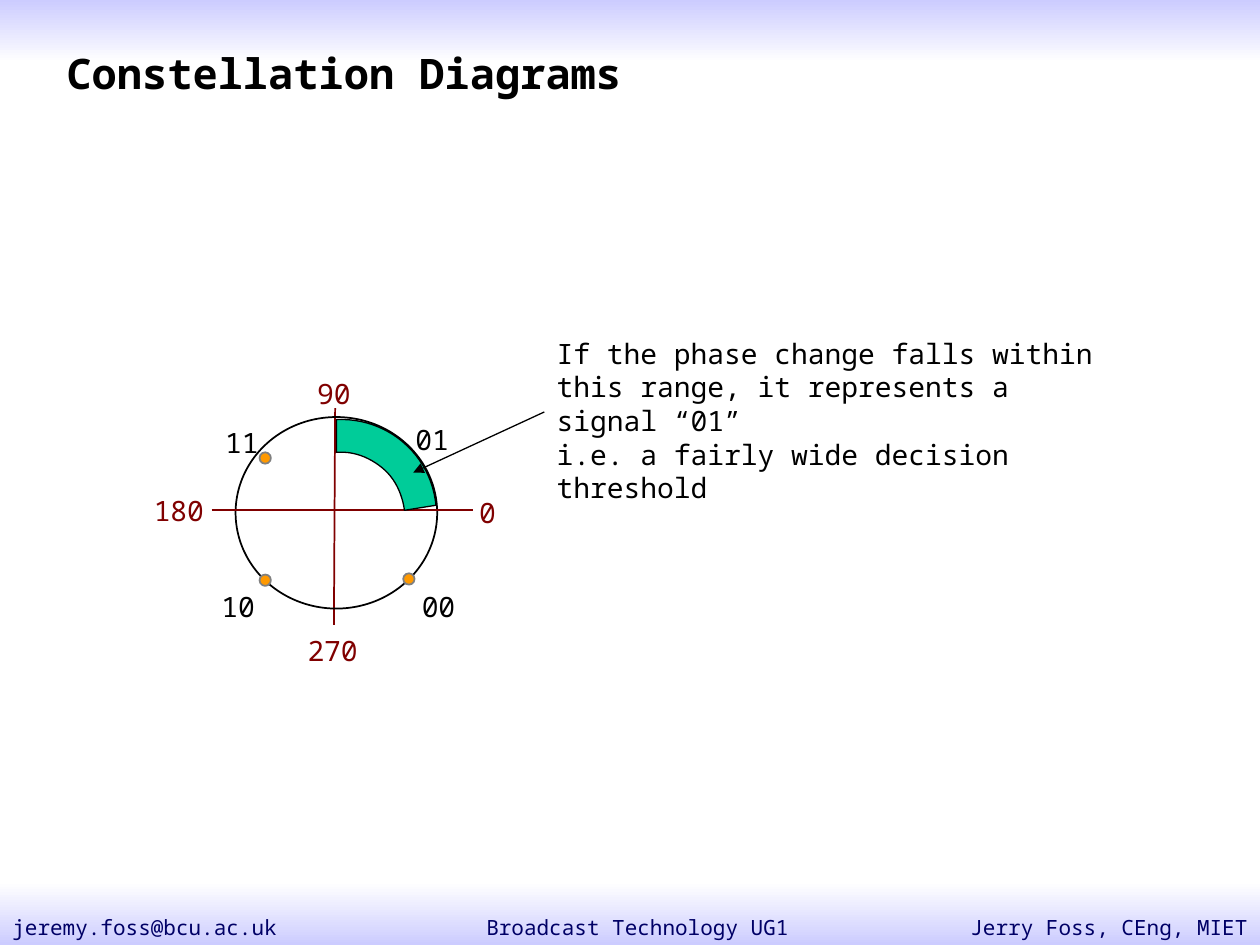
from lxml import etree
from pptx import Presentation, util as u
from pptx.dml.color import RGBColor
from pptx.enum import shapes, text
from pptx.oxml import ns

CELL = u.Inches(0.1)
COLUMNS, ROWS = 100, 75
FONT = "Noto Sans Mono"
COLORS = {
    "ink": "000000", "white": "FFFFFF", "band": "CCCCFF", "footer": "000066",
    "axis": "800000", "dot": "FF9900", "dot_edge": "808080", "sector": "00CC99",
}


def cells(*values):
    """Convert grid cells to slide lengths."""
    return [round(value * CELL) for value in values]


def color(name):
    """Look up a named colour."""
    return RGBColor.from_string(COLORS[name])


def style_shape(shape, fill, line, width):
    """Give a shape its flat fill and outline without a shadow."""
    shape.shadow.inherit = False
    if fill:
        shape.fill.solid()
        shape.fill.fore_color.rgb = color(fill)
    else:
        shape.fill.background()
    shape.line.color.rgb = color(line)
    shape.line.width = u.Pt(width)


def add_text(slide, box, lines, size=16, ink="ink", align="LEFT", anchor="TOP", bold=False, wrap=True):
    """Write one paragraph per line into a box."""
    frame = slide.shapes.add_textbox(*cells(*box)).text_frame
    frame.word_wrap = wrap
    frame.vertical_anchor = getattr(text.MSO_ANCHOR, anchor)
    frame.text = "\n".join(lines)
    for paragraph in frame.paragraphs:
        paragraph.alignment = getattr(text.PP_ALIGN, align)
        for run in paragraph.runs:
            for key, value in {"name": FONT, "size": u.Pt(size), "bold": bold}.items():
                setattr(run.font, key, value)
            run.font.color.rgb = color(ink)


def add_line(slide, start, end, ink, width, arrow=False):
    """Draw a straight line, with an arrowhead at its end if asked."""
    connector = slide.shapes.add_connector(shapes.MSO_CONNECTOR.STRAIGHT, *cells(*start, *end))
    connector.line.color.rgb = color(ink)
    connector.line.width = u.Pt(width)
    if arrow:
        etree.SubElement(connector.line._get_or_add_ln(), ns.qn("a:tailEnd"), type="triangle")
    etree.SubElement(connector._element.spPr, ns.qn("a:effectLst"))


def add_ellipse(slide, box, fill, line):
    """Draw an ellipse with a one-point outline."""
    shape = slide.shapes.add_shape(shapes.MSO_SHAPE.OVAL, *cells(*box))
    style_shape(shape, fill, line, 1)


def curve(points, steps=12):
    """Sample a cubic curve after its starting point."""
    weights = (1, 3, 3, 1)
    return [
        tuple(sum(w * (1 - t) ** (3 - i) * t ** i * point[axis]
                  for i, (w, point) in enumerate(zip(weights, points))) for axis in (0, 1))
        for t in (step / steps for step in range(1, steps + 1))
    ]


def add_band(slide, box, top, bottom):
    """Fill a band with a vertical gradient."""
    band = slide.shapes.add_shape(shapes.MSO_SHAPE.RECTANGLE, *cells(*box))
    band.shadow.inherit = False
    band.line.fill.background()
    band.fill.gradient()
    band.fill.gradient_angle = 270
    for stop, name in zip(band.fill.gradient_stops, (top, bottom)):
        stop.color.rgb = color(name)


def add_footer(slide, box):
    """Place the footer band and its three texts."""
    left, top, width, height = box
    add_band(slide, box, "white", "band")
    entries = (
        ("Broadcast Technology UG1", 26.6, 48, "CENTER"),
        ("jeremy.foss@bcu.ac.uk", 0, 31.7, "LEFT"),
        ("Jerry Foss, CEng, MIET", width - 31.7, 31.7, "RIGHT"),
    )
    for entry, offset, span, align in entries:
        add_text(slide, (left + offset, top + 2.1, span, 2.9), [entry], 12, "footer", align)


def add_sector(slide, box):
    """Draw the ring sector that marks the decision range."""
    left, top = box[:2]
    inner = [(8, 2.8), (9.4, 2.7), (10.6, 3.2), (11.6, 4), (12.6, 4.8), (13.2, 6), (13.4, 7.4)]
    outer = [(15.9, 7), (15.7, 5), (14.8, 3.3), (13.3, 2), (11.9, 0.8), (10, 0.1), (8, 0.2)]
    outline = []
    for edge in (inner, outer):
        outline += [edge[0]] + curve(edge[:4]) + curve(edge[3:])
    points = [cells(left + x, top + y) for x, y in outline]
    builder = slide.shapes.build_freeform(*points[0], scale=1.0)
    builder.add_line_segments(points[1:], close=True)
    style_shape(builder.convert_to_shape(), "sector", "ink", 0.75)


def add_constellation(slide, box):
    """Draw the phase circle with axes, points, labels and sector."""
    left, top, width, height = box
    add_line(slide, (left + 7.9, top - 0.7), (left + 7.8, top + 16.5), "axis", 1)
    add_ellipse(slide, box, None, "ink")
    add_line(slide, (left - 1.9, top + 7.4), (left + 18.8, top + 7.4), "axis", 1)
    dot = 0.9
    for x, y in ((2.35, 3.25), (2.35, 12.95), (13.75, 12.85)):
        add_ellipse(slide, (left + x - dot / 2, top + y - dot / 2, dot, dot), "dot", "dot_edge")
    labels = {
        "ink": (("11", 0.5, 2), ("10", 0.2, 15), ("01", 15.6, 1.8), ("00", 16.1, 15)),
        "axis": (("90", 7.8, -1.9), ("0", 20, 7.6), ("270", 7.7, 18.5), ("180", -4.5, 7.4)),
    }
    for ink, group in labels.items():
        for label, x, y in group:
            span = 2 + 1.6 * len(label)
            place = (left + x - span / 2, top + y - 2, span, 4)
            add_text(slide, place, [label], ink=ink, align="CENTER", anchor="MIDDLE", wrap=False)
    add_sector(slide, box)


def add_explanation(slide, box):
    """Write the explanation and point from it to the sector."""
    left, top = box[:2]
    add_text(slide, box, [
        "If the phase change falls within this range, it represents a signal “01”",
        "i.e. a fairly wide decision threshold",
    ])
    add_line(slide, (left, top + 6.5), (left - 10.4, top + 11.3), "ink", 0.75, arrow=True)


def main():
    """Build and save the slide."""
    presentation = Presentation()
    presentation.slide_width, presentation.slide_height = cells(COLUMNS, ROWS)
    slide = presentation.slides.add_slide(presentation.slide_layouts[6])
    add_band(slide, (0, 0, COLUMNS, 5), "band", "white")
    add_footer(slide, (0, ROWS - 5, COLUMNS, 5))
    add_constellation(slide, (18.7, 33.1, 16, 15.2))
    add_explanation(slide, (43.2, 26.2, 46.3, 9.4))
    add_text(slide, (4.3, 3.6, 81.4, 4.3), ["Constellation Diagrams"], 24, anchor="MIDDLE", bold=True)
    presentation.save("out.pptx")


if __name__ == "__main__":
    main()
